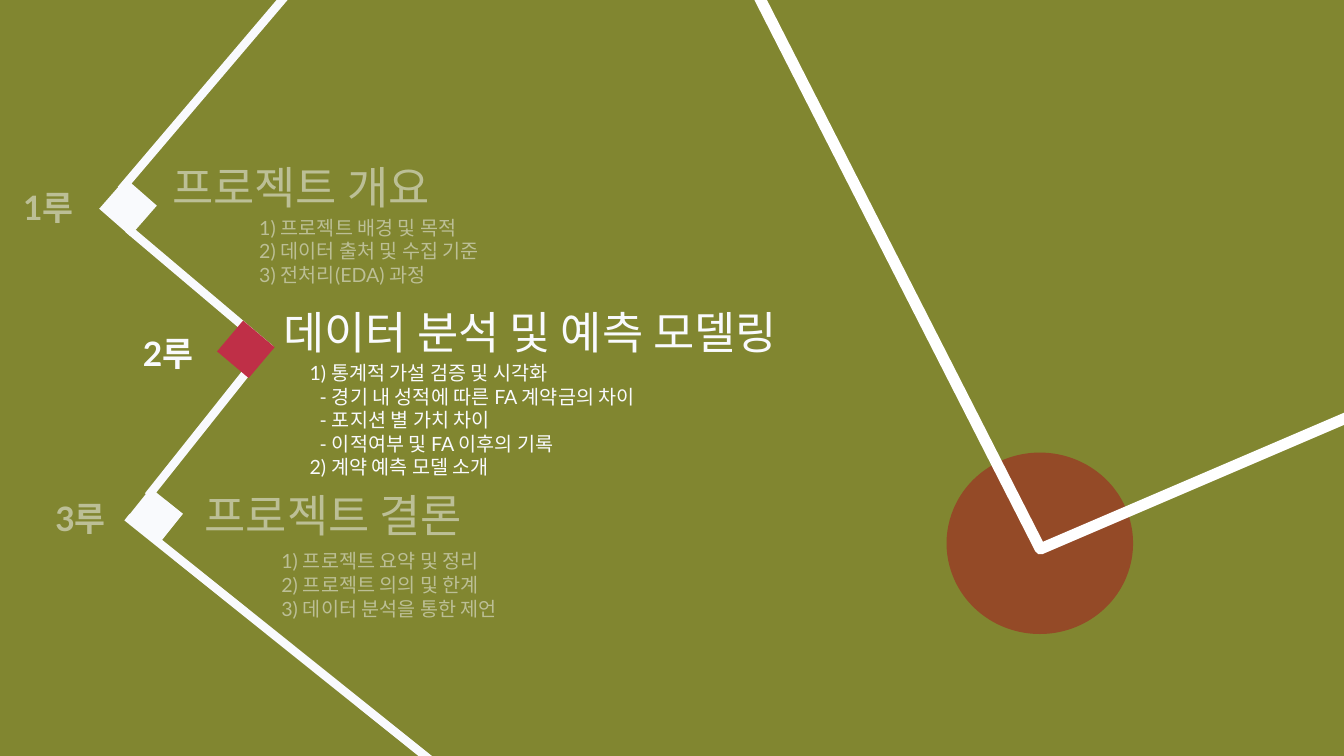
from dataclasses import dataclass

from lxml import etree
from pptx import Presentation, util as u
from pptx.dml.color import RGBColor
from pptx.enum import shapes, text
from pptx.oxml import ns


@dataclass(frozen=True)
class Theme:
    font: str = "Lato"
    grass: str = "818630"
    clay: str = "944A27"
    chalk: str = "FFFFFF"
    pale: str = "F9FAFD"
    red: str = "BF2F47"
    head: int = 32
    mark: int = 24
    body: int = 14
    foul: int = 8
    path_w: int = 6


class Field:
    """Draws on one slide; all lengths are percent of the slide's size."""

    def __init__(self, deck, theme):
        self.wide, self.high = deck.slide_width, deck.slide_height
        self.theme = theme
        self.slide = deck.slides.add_slide(deck.slide_layouts[4])
        self.shapes = self.slide.shapes
        fill = self.slide.background.fill
        fill.solid()
        fill.fore_color.rgb = RGBColor.from_string(theme.grass)

    def scale(self, *vals):
        return [round(v * (self.high if i % 2 else self.wide) / 100)
                for i, v in enumerate(vals)]

    def shape(self, kind, box, fill=None, turn=0, line=None, alpha=None):
        item = self.shapes.add_shape(kind, *self.scale(*box))
        item.shadow.inherit = False
        item.rotation = turn
        if fill:
            item.fill.solid()
            item.fill.fore_color.rgb = RGBColor.from_string(fill)
        else:
            item.fill.background()
        if line:
            item.line.color.rgb = RGBColor.from_string(line)
            item.line.width = u.Pt(self.theme.foul)
        else:
            item.line.fill.background()
        if alpha:
            color = item.fill._xPr.find(".//" + ns.qn("a:srgbClr"))
            etree.SubElement(color, ns.qn("a:alpha"), val=str(alpha * 1000))

    def line(self, ends):
        item = self.shapes.add_connector(
            shapes.MSO_CONNECTOR.STRAIGHT, *self.scale(*ends))
        item.line.color.rgb = RGBColor.from_string(self.theme.pale)
        item.line.width = u.Pt(self.theme.path_w)
        etree.SubElement(item._element.spPr, ns.qn("a:effectLst"))

    def text(self, box, words, size, bold=False, slot=None):
        """Fill placeholder number slot, or a new text box."""
        place = self.scale(*box)
        if slot is None:
            item = self.shapes.add_textbox(*place)
        else:
            item = self.slide.placeholders[slot]
            item.left, item.top, item.width, item.height = place
            tree = item._element.getparent()
            tree.append(item._element)  # bring to front
        frame = item.text_frame
        frame.text = words
        frame.word_wrap = True
        frame.auto_size = text.MSO_AUTO_SIZE.SHAPE_TO_FIT_TEXT
        frame.vertical_anchor = text.MSO_ANCHOR.TOP
        for para in frame.paragraphs:
            para.alignment = text.PP_ALIGN.LEFT
            para.line_spacing = 1.0
            para.space_before = para.space_after = u.Pt(0)
            props = para._p.get_or_add_pPr()
            inset = u.Inches(0.1) if para.text.startswith("-") else 0
            props.set("marL", str(inset))
            props.set("indent", "0")
            etree.SubElement(props, ns.qn("a:buNone"))
            for run in para.runs:
                run.font.name = self.theme.font
                run.font.size = u.Pt(size)
                run.font.bold = bold
                run.font.color.rgb = RGBColor.from_string(self.theme.pale)

    def stop(self, mark, at, head, head_at, items, list_at, slot, title=None):
        """Base label, heading and list of one agenda part."""
        th = self.theme
        self.text((*at, 9.3, 6.67), mark, th.mark, bold=True)
        self.text((*head_at, 44.7, 8.53), head, th.head, slot=title)
        self.text((*list_at, 55.58, 3.5 * len(items)), "\n".join(items),
                  th.body, slot=slot)

    def clean(self):
        for item in list(self.slide.placeholders):
            if not item.text_frame.text:
                item._element.getparent().remove(item._element)


def main():
    deck = Presentation()
    deck.slide_width, deck.slide_height = u.Inches(13.33), u.Inches(7.5)
    th = Theme()
    field = Field(deck, th)
    kind = shapes.MSO_SHAPE

    # Mound and home corner
    field.shape(kind.OVAL, (70.43, 59.87, 13.88, 24), th.clay)
    field.shape(kind.DIAMOND, (49.43, -78.8, 84.83, 161.07),
                turn=109.9, line=th.chalk)

    # Inactive parts, dimmed by veils
    field.stop("1루", (0.98, 24), "프로젝트 개요", (12.08, 20.53),
               ["1) 프로젝트 배경 및 목적", "2) 데이터 출처 및 수집 기준",
                "3) 전처리(EDA) 과정"], (18.53, 27.87), slot=1)
    field.stop("3루", (3.38, 65.2), "프로젝트 결론", (14.48, 63.87),
               ["1) 프로젝트 요약 및 정리", "2) 프로젝트 의의 및 한계",
                "3) 데이터 분석을 통한 제언"], (20.18, 72), slot=3)
    for spot in ((0.45, 12.4), (1.88, 56.67)):
        field.shape(kind.RECTANGLE, (*spot, 58.43, 27.07), th.grass, alpha=50)

    # Base path
    for ends in ((21.75, -1.6, 9, 25.07), (9.53, 30.27, 20.18, 46.27),
                 (18.6, 48.67, 11.03, 65.6), (9.45, 68.4, 33.23, 102.27)):
        field.line(ends)

    # Bases
    for spot, turn, fill in (((8.03, 24.67), 311.2, th.pale),
                             ((9.98, 65.6), 308.6, th.pale),
                             ((16.8, 43.47), 310.1, th.red)):
        field.shape(kind.RECTANGLE, (*spot, 3, 5.47), fill, turn)

    # Active part
    field.stop("2루", (9.9, 43.33), "데이터 분석 및 예측 모델링", (20.33, 39.6),
               ["1) 통계적 가설 검증 및 시각화",
                "- 경기 내 성적에 따른 FA 계약금의 차이",
                "- 포지션 별 가치 차이", "- 이적여부 및 FA 이후의 기록",
                "2) 계약 예측 모델 소개"], (22.28, 47.07), slot=2, title=0)

    field.clean()
    deck.save("out.pptx")


if __name__ == "__main__":
    main()
